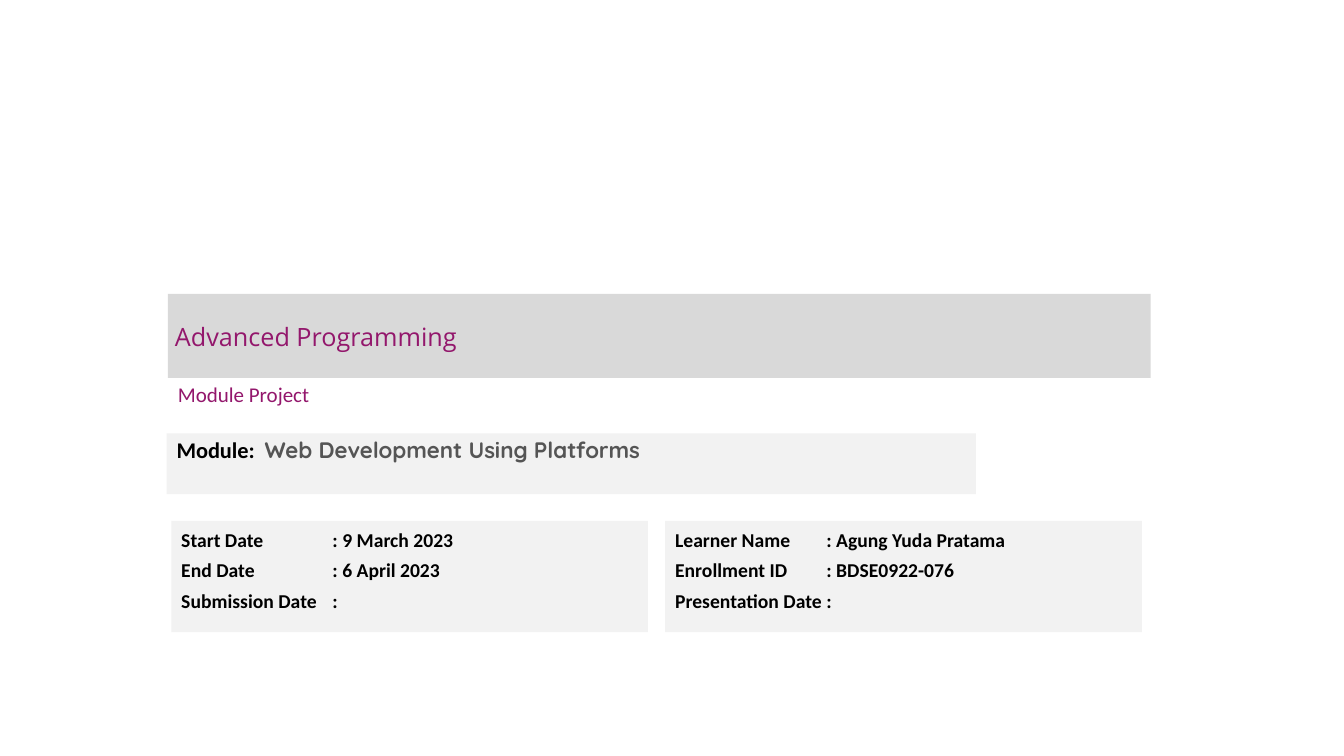
from lxml.etree import SubElement
from pptx import Presentation
from pptx.dml.color import RGBColor
from pptx.enum.shapes import MSO_SHAPE
from pptx.enum.text import MSO_ANCHOR, MSO_AUTO_SIZE, PP_ALIGN
from pptx.oxml.ns import qn
from pptx.util import Pt

THEME = {
    "band": RGBColor.from_string("D9D9D9"),
    "panel": RGBColor.from_string("F2F2F2"),
    "accent": RGBColor.from_string("93176C"),
    "ink": RGBColor.from_string("000000"),
    "muted": RGBColor.from_string("555555"),
    "title": {"name": "Open Sans", "size": Pt(18), "bold": False},
    "subtitle": {"name": "Calibri", "size": Pt(15), "bold": False},
    "module": {"name": "Calibri", "size": Pt(16), "bold": True},
    "module_name": {"name": "Quicksand", "size": Pt(16), "bold": True},
    "detail": {"name": "Calibri", "size": Pt(14), "bold": True},
}


def add_run(p, text, style, color):
    r = p.add_run()
    r.text = text
    for key, value in THEME[style].items():
        setattr(r.font, key, value)
    r.font.color.rgb = THEME[color]


def add_panel(s, box, lines, tab):
    sp = s.shapes.add_shape(MSO_SHAPE.RECTANGLE, *map(Pt, box))
    sp.shadow.inherit = False
    sp.fill.solid()
    sp.fill.fore_color.rgb = THEME["panel"]
    sp.line.fill.background()
    tf = sp.text_frame
    tf.word_wrap = True
    tf.vertical_anchor = MSO_ANCHOR.TOP
    for i, runs in enumerate(lines):
        p = tf.add_paragraph() if i else tf.paragraphs[0]
        tabs = SubElement(p._p.get_or_add_pPr(), qn("a:tabLst"))
        SubElement(tabs, qn("a:tab"), pos=str(Pt(tab)), algn="l")
        layout = {
            "alignment": PP_ALIGN.LEFT,
            "line_spacing": Pt(18),
            "space_before": Pt(2 if i else 0),
            "space_after": Pt(2),
        }
        for key, value in layout.items():
            setattr(p, key, value)
        for run in runs:
            add_run(p, *run)


prs = Presentation()
prs.slide_width, prs.slide_height = Pt(960), Pt(540)
s = prs.slides.add_slide(prs.slide_layouts[5])

title = s.shapes.title
subtitle = s.shapes.add_textbox(0, 0, 0, 0)
headings = [
    (title, (120, 210, 702, 60), "Advanced Programming", "title"),
    (subtitle, (120, 259.5, 462, 44.5), "Module Project", "subtitle"),
]
for sp, box, text, style in headings:
    sp.left, sp.top, sp.width, sp.height = map(Pt, box)
    tf = sp.text_frame
    frame = {
        "word_wrap": True,
        "auto_size": MSO_AUTO_SIZE.NONE,
        "vertical_anchor": MSO_ANCHOR.MIDDLE,
    }
    for key, value in frame.items():
        setattr(tf, key, value)
    p = tf.paragraphs[0]
    p.alignment = PP_ALIGN.LEFT
    add_run(p, text, style, "accent")

title.fill.solid()
title.fill.fore_color.rgb = THEME["band"]
insets = {"margin_left": 5, "margin_right": 5, "margin_top": 3, "margin_bottom": 3}
for key, value in insets.items():
    setattr(title.text_frame, key, Pt(value))

module = [
    ("Module:\t", "module", "ink"),
    ("Web Development Using Platforms", "module_name", "muted"),
]
add_panel(s, (119, 309.5, 578, 43.5), [module], 63)

details = [
    ["Start Date\t: 9 March 2023", "End Date\t: 6 April 2023", "Submission Date\t:"],
    [
        "Learner Name\t: Agung Yuda Pratama",
        "Enrollment ID\t: BDSE0922-076",
        "Presentation Date\t:",
    ],
]
for col, lines in enumerate(details):
    box = (122.4 + 352.8 * col, 372, 340.5, 79.5)
    add_panel(s, box, [[(line, "detail", "ink")] for line in lines], 108)

prs.save("out.pptx")
